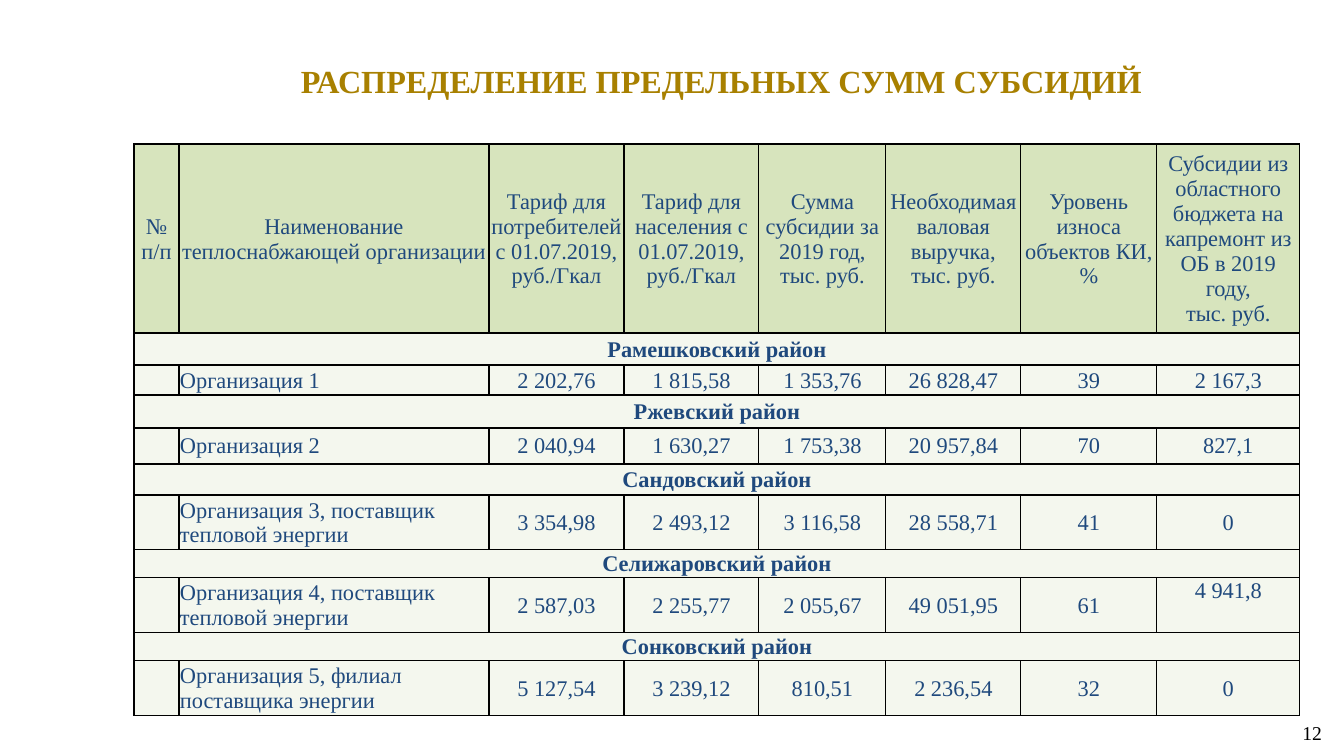
from dataclasses import dataclass

from lxml import etree
from pptx import Presentation
from pptx.dml.color import RGBColor
from pptx.enum.shapes import MSO_SHAPE
from pptx.enum.text import MSO_ANCHOR, PP_ALIGN
from pptx.oxml.ns import qn
from pptx.util import Pt

LEFT, CENTER, RIGHT = PP_ALIGN.LEFT, PP_ALIGN.CENTER, PP_ALIGN.RIGHT
TOP, MIDDLE = MSO_ANCHOR.TOP, MSO_ANCHOR.MIDDLE
RECTANGLE = MSO_SHAPE.RECTANGLE
PX = 914400 / 100.8
TITLE_ONLY = 5


@dataclass(frozen=True)
class Theme:
    font: str = "Times New Roman"
    title: str = "A88000"
    text: str = "1F497D"
    header: str = "D7E4BD"
    body: str = "EBF1DE"
    line: str = "000000"
    paper: str = "FFFFFF"
    title_size: int = 23
    table_size: int = 16
    number_size: int = 14
    border: int = 1


theme = Theme()


def write(frame, text, size=theme.table_size, color=theme.text, bold=False, align=CENTER):
    """Fill a text frame, one paragraph per line of text."""
    for index, line in enumerate(text.split("\n")):
        para = frame.add_paragraph() if index else frame.paragraphs[0]
        para.alignment = align
        if not line:
            para._p.get_or_add_endParaRPr().set("sz", str(size * 100))
            continue
        span = para.add_run()
        span.text = line
        span.font.name = theme.font
        span.font.size = Pt(size)
        span.font.bold = bold
        span.font.color.rgb = RGBColor.from_string(color)


def style_cell(cell, color, alpha):
    """Set margins, fill with opacity in percent, and four borders."""
    cell.margin_left = cell.margin_right = cell.margin_top = round(PX)
    cell.margin_bottom = 0
    cell.vertical_anchor = MIDDLE
    cell.fill.solid()
    cell.fill.fore_color.rgb = RGBColor.from_string(color)
    properties = cell._tc.get_or_add_tcPr()
    if alpha < 100:
        shade = properties.find(".//" + qn("a:srgbClr"))
        etree.SubElement(shade, qn("a:alpha"), val=str(alpha * 1000))
    for index, side in enumerate(("lnL", "lnR", "lnT", "lnB")):
        border = etree.Element(qn("a:" + side), w=str(Pt(theme.border)))
        ink = etree.SubElement(border, qn("a:solidFill"))
        etree.SubElement(ink, qn("a:srgbClr"), val=theme.line)
        properties.insert(index, border)


headers = [
    "№ п/п",
    "Наименование теплоснабжающей организации",
    "Тариф для потребителей с 01.07.2019,\nруб./Гкал",
    "Тариф для населения с 01.07.2019,\nруб./Гкал",
    "Сумма субсидии за 2019 год,\nтыс. руб.",
    "Необходимая\nваловая\nвыручка,\nтыс. руб.",
    "Уровень износа объектов КИ, %",
    "Субсидии из областного бюджета на капремонт из ОБ в 2019 году,\nтыс. руб.",
]
districts = {
    "Рамешковский район": [
        "Организация 1", "2 202,76", "1 815,58", "1 353,76", "26 828,47", "39", "2 167,3"],
    "Ржевский район": [
        "Организация 2", "2 040,94", "1 630,27", "1 753,38", "20 957,84", "70", "827,1"],
    "Сандовский район": [
        "Организация 3, поставщик тепловой энергии",
        "3 354,98", "2 493,12", "3 116,58", "28 558,71", "41", "0"],
    "Селижаровский район": [
        "Организация 4, поставщик тепловой энергии",
        "2 587,03", "2 255,77", "2 055,67", "49 051,95", "61", "4 941,8"],
    "Сонковский район": [
        "Организация 5, филиал поставщика энергии",
        "5 127,54", "3 239,12", "810,51", "2 236,54", "32", "0"],
}
rows = [headers]
for district, values in districts.items():
    rows += [[district] + [""] * 7, [""] + values]
column_widths = [45, 310, 135, 135, 127, 135, 136, 143]
row_heights = [189, 32, 30, 33, 36, 31, 55, 28, 55, 28, 55]

deck = Presentation()
deck.slide_width, deck.slide_height = round(1344 * PX), round(756 * PX)
page = deck.slides.add_slide(deck.slide_layouts[TITLE_ONLY])

title = page.shapes.title
title.left, title.top, title.width, title.height = [
    round(length * PX) for length in (186, 56, 1072, 49)]
title.text_frame.vertical_anchor = MIDDLE
write(title.text_frame, "РАСПРЕДЕЛЕНИЕ ПРЕДЕЛЬНЫХ СУММ СУБСИДИЙ",
      size=theme.title_size, color=theme.title, bold=True)

number = page.shapes.add_shape(
    RECTANGLE, *[round(length * PX) for length in (1291, 716, 41, 34)])
number.shadow.inherit = False
number.fill.solid()
number.fill.fore_color.rgb = RGBColor.from_string(theme.paper)
number.line.fill.background()
number.text_frame.vertical_anchor = TOP
write(number.text_frame, "12", size=theme.number_size, color=theme.line, align=RIGHT)

table = page.shapes.add_table(
    len(rows), len(headers),
    *[round(length * PX) for length in (134, 144, sum(column_widths), sum(row_heights))]).table
table.first_row = table.horz_banding = False
for column, width in zip(table.columns, column_widths):
    column.width = round(width * PX)
for row, height in zip(table.rows, row_heights):
    row.height = round(height * PX)

for row_index, texts in enumerate(rows):
    is_header = row_index == 0
    is_district = row_index % 2 == 1
    for column_index, text in enumerate(texts):
        cell = table.cell(row_index, column_index)
        style_cell(cell, theme.header if is_header else theme.body, 100 if is_header else 50)
        is_name = column_index == 1 and not is_header
        write(cell.text_frame, text, bold=is_district, align=LEFT if is_name else CENTER)
    if is_district:
        table.cell(row_index, 0).merge(table.cell(row_index, len(headers) - 1))

table.cell(8, 7).vertical_anchor = TOP

deck.save("out.pptx")
